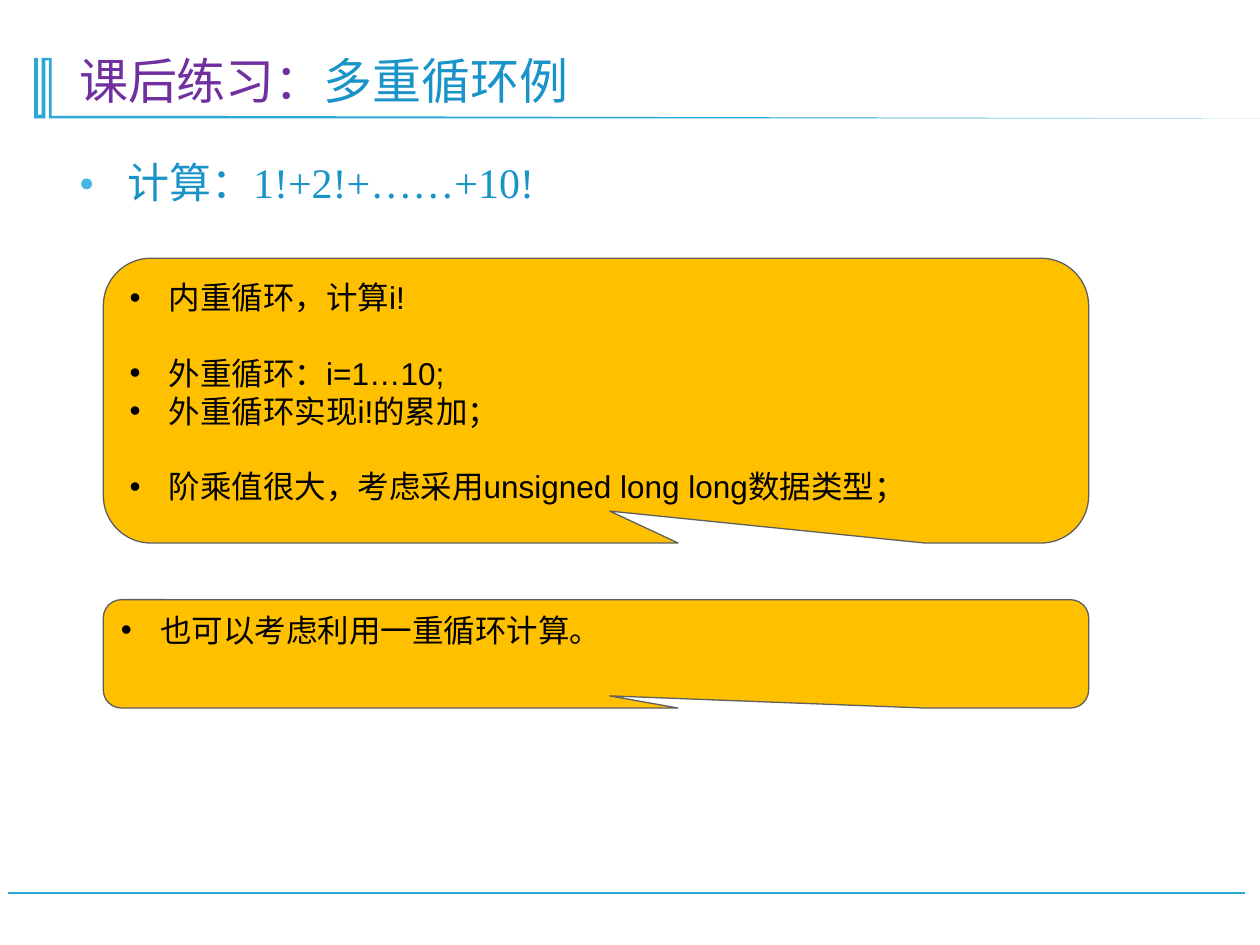
from lxml import etree
from pptx import Presentation
from pptx.dml.color import RGBColor
from pptx.enum.shapes import MSO_CONNECTOR, MSO_SHAPE
from pptx.enum.text import MSO_ANCHOR, PP_ALIGN
from pptx.oxml.ns import qn
from pptx.util import Inches, Pt

COLORS = {
    "accent": "28A9D6",
    "heading": "7030A0",
    "topic": "1A93C8",
    "bullet": "47B6E7",
    "callout": "FFC000",
    "outline": "5F5F5F",
    "ink": "000000",
}
SERIF, SANS = "Times New Roman", "Arial"
BLANK_LINE = 21.6


def rgb(name):
    return RGBColor.from_string(COLORS[name])


def add_bullet(paragraph, char, indent, color=None, percent=None):
    """Give the paragraph a bullet with a hanging indent in inches."""
    props = paragraph._p.get_or_add_pPr()
    props.set("marL", str(Inches(indent)))
    props.set("indent", str(-Inches(indent)))
    if color:
        holder = etree.SubElement(props, qn("a:buClr"))
        etree.SubElement(holder, qn("a:srgbClr"), val=COLORS[color])
    if percent:
        etree.SubElement(props, qn("a:buSzPct"), val=str(percent * 1000))
    etree.SubElement(props, qn("a:buFont"), typeface=SANS)
    etree.SubElement(props, qn("a:buChar"), char=char)


def write(paragraph, *runs, size, font, bullet=None, before=0, spacing=None):
    """Fill the paragraph with (text, color) runs."""
    if bullet:
        add_bullet(paragraph, **bullet)
    paragraph.alignment = PP_ALIGN.LEFT
    if before:
        paragraph.space_before = Pt(before)
    if spacing:
        paragraph.line_spacing = spacing
    for text, color in runs:
        run = paragraph.add_run()
        run.text = text
        run.font.size = Pt(size)
        run.font.name = font
        run.font.color.rgb = rgb(color)


class ExerciseSlide:
    def __init__(self, presentation):
        self.slide = presentation.slides.add_slide(presentation.slide_layouts[6])
        self.shapes = self.slide.shapes

    def rule(self, x1, y1, x2, y2):
        line = self.shapes.add_connector(
            MSO_CONNECTOR.STRAIGHT, Inches(x1), Inches(y1), Inches(x2), Inches(y2))
        line.line.color.rgb = rgb("accent")
        line.line.width = Pt(1.25)
        etree.SubElement(line._element.spPr, qn("a:effectLst"))

    def outline(self, points):
        start, *rest = [(Inches(x), Inches(y)) for x, y in points]
        builder = self.shapes.build_freeform(*start, scale=1.0)
        builder.add_line_segments(rest, close=True)
        ornament = builder.convert_to_shape()
        ornament.shadow.inherit = False
        ornament.fill.solid()
        ornament.fill.fore_color.rgb = rgb("accent")
        ornament.line.fill.background()

    def text(self, left, top, width, height, *runs, anchor=MSO_ANCHOR.TOP, **style):
        box = self.shapes.add_textbox(
            Inches(left), Inches(top), Inches(width), Inches(height))
        frame = box.text_frame
        frame.word_wrap = True
        frame.vertical_anchor = anchor
        write(frame.paragraphs[0], *runs, font=SERIF, spacing=0.9, **style)

    def callout(self, top, height, hints):
        """Draw a callout holding (text, space before) hints."""
        bubble = self.shapes.add_shape(
            MSO_SHAPE.ROUNDED_RECTANGULAR_CALLOUT,
            Inches(0.82), Inches(top), Inches(7.82), Inches(height))
        for index, value in enumerate((0.014, 0.388, 0.167)):
            bubble.adjustments[index] = value
        bubble.shadow.inherit = False
        bubble.fill.solid()
        bubble.fill.fore_color.rgb = rgb("callout")
        bubble.line.color.rgb = rgb("outline")
        bubble.line.width = Pt(0.75)
        frame = bubble.text_frame
        frame.word_wrap = True
        frame.vertical_anchor = MSO_ANCHOR.TOP
        for index, (hint, before) in enumerate(hints):
            paragraph = frame.add_paragraph() if index else frame.paragraphs[0]
            write(paragraph, (hint, "ink"), size=18, font=SANS, before=before,
                  bullet={"char": "•", "indent": 0.31})


def main():
    presentation = Presentation()
    presentation.slide_width = Inches(10)
    presentation.slide_height = Inches(7.5)
    page = ExerciseSlide(presentation)

    page.rule(9.88, 7.09, 0.06, 7.09)
    page.outline([
        (0.41, 0.46), (0.41, 0.92), (1.4, 0.92), (10.09, 0.94), (0.39, 0.94),
        (0.39, 0.48), (0.36, 0.48), (0.36, 0.94), (0.27, 0.94), (0.27, 0.46),
        (0.3, 0.46), (0.3, 0.91), (0.33, 0.91), (0.33, 0.46),
    ])
    page.text(0.53, 0.28, 8.85, 0.64,
              ("课后练习：", "heading"), ("多重循环例", "topic"),
              size=28, anchor=MSO_ANCHOR.BOTTOM)
    page.text(0.53, 1.24, 8.85, 5.85, ("计算：1!+2!+……+10!", "topic"), size=24,
              bullet={"char": "●", "indent": 0.38, "color": "bullet", "percent": 60})
    page.callout(2.05, 2.26, [
        ("内重循环，计算i!", 0),
        ("外重循环：i=1…10;", BLANK_LINE),
        ("外重循环实现i!的累加；", 0),
        ("阶乘值很大，考虑采用unsigned long long数据类型；", BLANK_LINE),
    ])
    page.callout(4.76, 0.86, [("也可以考虑利用一重循环计算。", 0)])

    presentation.save("out.pptx")


if __name__ == "__main__":
    main()
